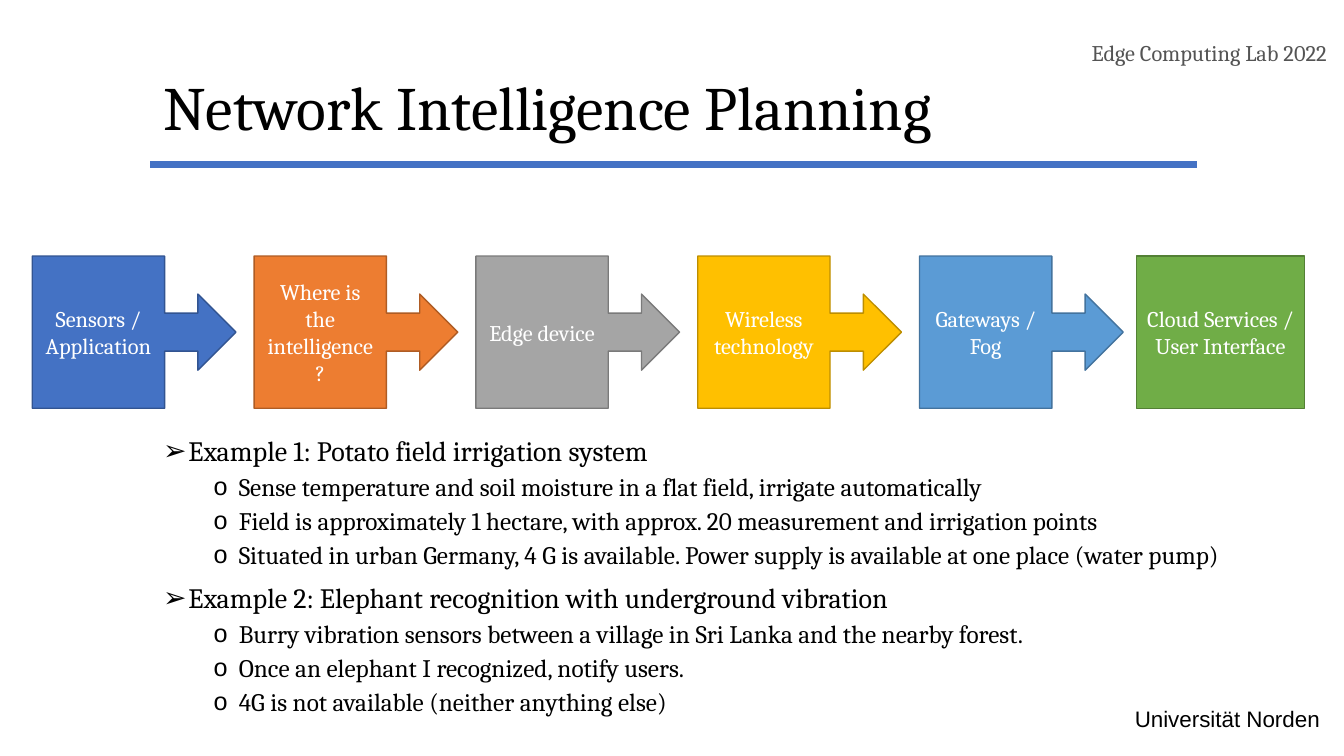
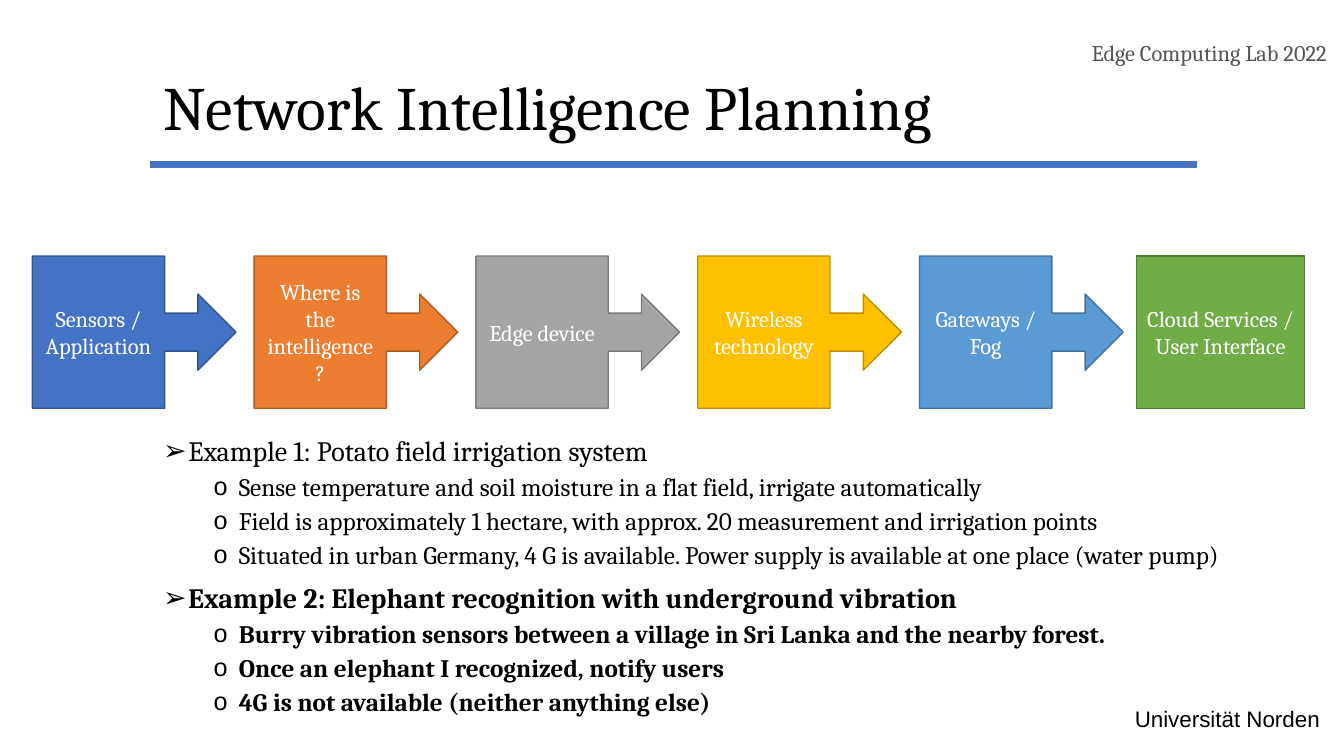
from dataclasses import dataclass

from lxml import etree
from pptx import Presentation
from pptx.dml.color import RGBColor
from pptx.enum.shapes import MSO_CONNECTOR, MSO_SHAPE
from pptx.enum.text import MSO_ANCHOR, PP_ALIGN
from pptx.oxml.ns import qn
from pptx.util import Inches, Pt

LEFT, CENTER, RIGHT = PP_ALIGN.LEFT, PP_ALIGN.CENTER, PP_ALIGN.RIGHT
TOP, MIDDLE = MSO_ANCHOR.TOP, MSO_ANCHOR.MIDDLE
CALLOUT, BLOCK = MSO_SHAPE.RIGHT_ARROW_CALLOUT, MSO_SHAPE.RECTANGLE
STRAIGHT = MSO_CONNECTOR.STRAIGHT


@dataclass(frozen=True)
class Theme:
    """Fonts, colours and type sizes shared by the slides."""
    serif: str = "Cambria"
    sans: str = "Arial"
    ink: str = "000000"
    muted: str = "545454"
    accent: str = "4472C4"
    light: str = "FFFFFF"
    title: int = 44
    topic: int = 20
    detail: int = 18
    label: int = 16
    rule: int = 5
    outline: int = 1


THEME = Theme()

# Label, fill and outline of each stage
STAGES = [
    ("Sensors / Application", "4472C4", "325491"),
    ("Where is the intelligence?", "ED7D31", "AF5C24"),
    ("Edge device", "A5A5A5", "7A7A7A"),
    ("Wireless technology", "FFC000", "BD8E00"),
    ("Gateways / Fog", "5B9BD5", "43739E"),
    ("Cloud Services / User Interface", "70AD47", "538035"),
]
POTATO = ("Example 1: Potato field irrigation system", [
    "Sense temperature and soil moisture in a flat field, irrigate automatically",
    "Field is approximately 1 hectare, with approx. 20 measurement and irrigation points",
    "Situated in urban Germany, 4 G is available. Power supply is available at one place "
    "(water pump)",
])


def elephant(notify):
    """Return the second example with its wording of the notification."""
    return ("Example 2: Elephant recognition with underground vibration", [
        "Burry vibration sensors between a village in Sri Lanka and the nearby forest.",
        notify,
        "4G is not available (neither anything else)",
    ])


def rgb(code):
    """Turn a hex code into a colour."""
    return RGBColor.from_string(code)


def style(paragraph, size, color=THEME.ink, face=THEME.serif, bold=False):
    """Set the font of a whole paragraph."""
    font = paragraph.font
    font.name, font.size, font.bold = face, Pt(size), bold
    font.color.rgb = rgb(color)


def text_frame(slide, box, anchor=TOP, inset=True):
    """Add a wrapping text box and return its frame."""
    frame = slide.shapes.add_textbox(*map(Inches, box)).text_frame
    frame.word_wrap, frame.vertical_anchor = True, anchor
    if not inset:
        frame.margin_left = frame.margin_right = 0
        frame.margin_top = frame.margin_bottom = 0
    return frame


def add_line_of_text(slide, box, text, size, spacing, align=LEFT, anchor=TOP,
                     inset=True, **look):
    """Write one paragraph in a box."""
    paragraph = text_frame(slide, box, anchor, inset).paragraphs[0]
    paragraph.text, paragraph.alignment = text, align
    paragraph.line_spacing = spacing
    style(paragraph, size, **look)


def add_frame(slide, title):
    """Add the running header, footer, title and title rule."""
    add_line_of_text(slide, (10.19, 0.3, 2.97, 0.32), "Edge Computing Lab 2022",
                     THEME.label, Pt(25.2), RIGHT, inset=False, color=THEME.muted)
    add_line_of_text(slide, (10.64, 6.92, 2.45, 0.31), "Universität Norden",
                     THEME.label, 1.3, RIGHT, inset=False, face=THEME.sans)
    rule = slide.shapes.add_connector(
        STRAIGHT, Inches(1.49), Inches(1.63), Inches(11.87), Inches(1.63))
    rule.line.color.rgb, rule.line.width = rgb(THEME.accent), Pt(THEME.rule)
    etree.SubElement(rule.line._get_or_add_ln().getparent(), qn("a:effectLst"))
    add_line_of_text(slide, (1.52, 0.44, 10.34, 1.32), title,
                     THEME.title, 0.9, anchor=MIDDLE)


def add_stage(slide, box, kind, label, fill, outline):
    """Add one stage of the chain."""
    stage = slide.shapes.add_shape(kind, *map(Inches, box))
    stage.shadow.inherit = False
    stage.fill.solid()
    stage.fill.fore_color.rgb = rgb(fill)
    stage.line.color.rgb, stage.line.width = rgb(outline), Pt(THEME.outline)
    frame = stage.text_frame
    frame.word_wrap, frame.vertical_anchor = True, MIDDLE
    paragraph = frame.paragraphs[0]
    paragraph.text, paragraph.alignment = label, CENTER
    style(paragraph, THEME.label, THEME.light)


def add_chain(slide, box, pitch=2.2, callout_width=2.02, end_width=1.67):
    """Lay arrow callouts at an equal pitch, closed by a block at the right edge."""
    left, top, width, height = box
    *steps, end = STAGES
    for i, step in enumerate(steps):
        add_stage(slide, (left + i * pitch, top, callout_width, height), CALLOUT, *step)
    add_stage(slide, (left + width - end_width, top, end_width, height), BLOCK, *end)


def add_bullet(paragraph, mark, indent, gap):
    """Give a paragraph a hanging bullet and its spacing."""
    paragraph.line_spacing, paragraph.space_before = 0.9, Pt(gap)
    props = paragraph._p.get_or_add_pPr()
    props.set("marL", str(Inches(indent)))
    props.set("indent", str(Inches(-0.25)))
    etree.SubElement(props, qn("a:buFont"), typeface=THEME.sans)
    etree.SubElement(props, qn("a:buChar"), char=mark)


def add_examples(slide, box, examples):
    """List (topic, details) examples, each with its own weight."""
    frame = text_frame(slide, box)
    paragraph = frame.paragraphs[0]
    for (topic, details), bold in examples:
        if paragraph.text:
            paragraph = frame.add_paragraph()
        paragraph.text = topic
        add_bullet(paragraph, "➢", 0.25, 10)
        style(paragraph, THEME.topic, bold=bold)
        for detail in details:
            paragraph = frame.add_paragraph()
            paragraph.text, paragraph.level = detail, 1
            add_bullet(paragraph, "o", 0.75, 5)
            style(paragraph, THEME.detail, bold=bold)


def add_planning_slide(deck, examples):
    """Build a planning slide: frame, chain of stages and examples."""
    slide = deck.slides.add_slide(deck.slide_layouts[6])
    add_frame(slide, "Network Intelligence Planning")
    add_chain(slide, (0.32, 2.54, 12.62, 1.51))
    add_examples(slide, (1.52, 4.29, 11.22, 2.33), examples)


deck = Presentation()
deck.slide_width, deck.slide_height = Inches(13.33), Inches(7.5)
add_planning_slide(deck, [
    (POTATO, False), (elephant("Once an elephant I recognized, notify users."), False)])
add_planning_slide(deck, [
    (POTATO, False), (elephant("Once an elephant I recognized, notify users"), True)])
deck.save("out.pptx")
